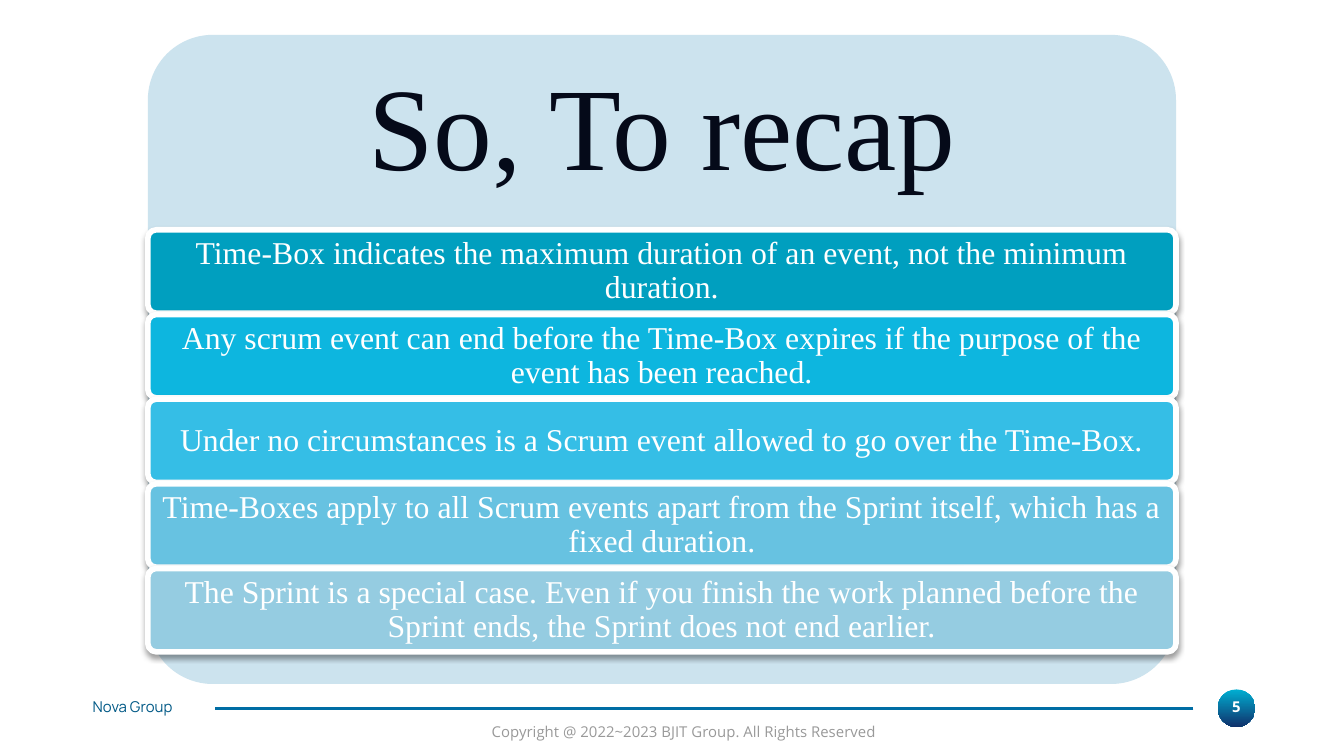
from dataclasses import dataclass

from lxml import etree
from pptx import Presentation
from pptx.dml.color import RGBColor
from pptx.enum.shapes import MSO_CONNECTOR, MSO_SHAPE
from pptx.enum.text import MSO_ANCHOR, MSO_AUTO_SIZE, PP_ALIGN
from pptx.oxml.ns import qn
from pptx.util import Inches, Pt

LEFT, CENTER, RIGHT = PP_ALIGN.LEFT, PP_ALIGN.CENTER, PP_ALIGN.RIGHT
TOP, MIDDLE = MSO_ANCHOR.TOP, MSO_ANCHOR.MIDDLE
NO_FIT = MSO_AUTO_SIZE.NONE
OVAL, ROUNDED = MSO_SHAPE.OVAL, MSO_SHAPE.ROUNDED_RECTANGLE
STRAIGHT = MSO_CONNECTOR.STRAIGHT
TITLE_ONLY = 5


@dataclass(frozen=True)
class Theme:
    serif: str = "Times New Roman"
    sans: str = "Open Sans"
    brand: str = "Manrope"
    title_size: float = 63
    body_size: float = 17
    footer_size: float = 8
    ink: str = "050A19"
    white: str = "FFFFFF"
    panel: str = "CCE3EE"
    rule: str = "006DA4"
    footer: str = "005986"
    muted: str = "999999"
    shadow: str = "000000"
    badge: tuple = ("00AFD2", "10316B")


THEME = Theme()

# 16:9 slide; panel and bars share one left edge and width
SLIDE_WIDTH = 10
SLIDE_HEIGHT = SLIDE_WIDTH * 9 / 16
PANEL_LEFT, PANEL_WIDTH = 1.1, 7.65
BAR_TOP, BAR_PITCH, BAR_HEIGHT = 1.71, 0.63, 0.62

BARS = [
    ("009FBF", "Time-Box indicates the maximum duration of an event, "
               "not the minimum duration."),
    ("0DB6DF", "Any scrum event can end before the Time-Box expires "
               "if the purpose of the event has been reached."),
    ("35BEE6", "Under no circumstances is a Scrum event allowed "
               "to go over the Time-Box."),
    ("67C2E1", "Time-Boxes apply to all Scrum events apart from "
               "the Sprint itself, which has a fixed duration."),
    ("95CCE1", "The Sprint is a special case. Even if you finish the work "
               "planned before the Sprint ends, the Sprint does not end earlier."),
]


def rgb(value):
    return RGBColor.from_string(value)


def inches(*values):
    return [Inches(v) for v in values]


def set_text(sp, text, font, size, color, bold=False, align=CENTER,
             anchor=MIDDLE, inset=(0, 0), wrap=True, spacing=1.0):
    tf = sp.text_frame
    dx, dy = inches(*inset)
    frame_format = {
        "margin_left": dx, "margin_right": dx,
        "margin_top": dy, "margin_bottom": dy,
        "vertical_anchor": anchor, "word_wrap": wrap, "auto_size": NO_FIT,
    }
    for name, value in frame_format.items():
        setattr(tf, name, value)
    p = tf.paragraphs[0]
    p.alignment, p.line_spacing = align, spacing
    r = p.add_run()
    r.text = text
    for name, value in {"name": font, "size": Pt(size), "bold": bold}.items():
        setattr(r.font, name, value)
    r.font.color.rgb = rgb(color)


def add_label(slide, box, text, **style):
    sp = slide.shapes.add_textbox(*inches(*box))
    set_text(sp, text, size=THEME.footer_size, anchor=TOP, **style)


def add_rounded(slide, box, fill):
    sp = slide.shapes.add_shape(ROUNDED, *inches(*box))
    sp.adjustments[0] = 0.1
    sp.fill.solid()
    sp.fill.fore_color.rgb = rgb(fill)
    sp.line.fill.background()
    sp.shadow.inherit = False
    return sp


def add_shadow(sp):
    effects = sp.element.spPr.find(qn("a:effectLst"))
    outer = etree.SubElement(
        effects, qn("a:outerShdw"), blurRad=str(Pt(3.1)), dist=str(Pt(1.6)),
        dir="5400000", rotWithShape="0")
    color = etree.SubElement(outer, qn("a:srgbClr"), val=THEME.shadow)
    etree.SubElement(color, qn("a:alpha"), val="38000")


def add_bar(slide, index, fill, text):
    top = BAR_TOP + index * BAR_PITCH
    sp = add_rounded(slide, (PANEL_LEFT, top, PANEL_WIDTH, BAR_HEIGHT), fill)
    sp.line.color.rgb = rgb(THEME.white)
    sp.line.width = Pt(3)
    add_shadow(sp)
    set_text(sp, text, THEME.serif, THEME.body_size, THEME.white,
             inset=(0.05, 0.04), spacing=0.9)


def add_title(slide, panel, text):
    title = slide.shapes.title
    box = inches(PANEL_LEFT, 0.26, PANEL_WIDTH, 1.45)
    for name, value in zip(("left", "top", "width", "height"), box):
        setattr(title, name, value)
    set_text(title, text, THEME.serif, THEME.title_size, THEME.ink,
             inset=(0.26, 0.26), spacing=0.9)
    panel.element.addnext(title.element)  # keep the title above the panel


def add_badge(slide, number):
    sp = slide.shapes.add_shape(OVAL, *inches(9.06, 5.13, 0.28, 0.28))
    sp.fill.gradient()
    sp.fill.gradient_angle = 270
    for stop, color in zip(sp.fill.gradient_stops, THEME.badge):
        stop.color.rgb = rgb(color)
    sp.line.fill.background()
    sp.shadow.inherit = False
    add_label(slide, (9.09, 5.19, 0.22, 0.14), number,
              font=THEME.sans, color=THEME.white, bold=True)


def add_rule(slide):
    line = slide.shapes.add_connector(STRAIGHT, *inches(8.88, 5.27, 1.6, 5.27))
    line.line.color.rgb = rgb(THEME.rule)
    line.line.width = Pt(1.5)
    etree.SubElement(line.element.spPr, qn("a:effectLst"))


def main():
    prs = Presentation()
    prs.slide_width, prs.slide_height = inches(SLIDE_WIDTH, SLIDE_HEIGHT)
    slide = prs.slides.add_slide(prs.slide_layouts[TITLE_ONLY])

    # Footer
    add_badge(slide, "5")
    add_rule(slide)
    add_label(slide, (0.69, 5.19, 0.97, 0.14), "Nova Group",
              font=THEME.brand, color=THEME.footer, align=LEFT)
    add_label(slide, (3.46, 5.33, 3.16, 0.24),
              "Copyright @ 2022~2023 BJIT Group. All Rights Reserved",
              font=THEME.sans, color=THEME.muted, align=RIGHT,
              inset=(0.1, 0.05), wrap=False)

    # Panel with title
    panel = add_rounded(slide, (PANEL_LEFT, 0.26, PANEL_WIDTH, 4.83), THEME.panel)
    add_title(slide, panel, "So, To recap")

    # Recap points
    for index, (fill, text) in enumerate(BARS):
        add_bar(slide, index, fill, text)

    prs.save("out.pptx")


if __name__ == "__main__":
    main()
